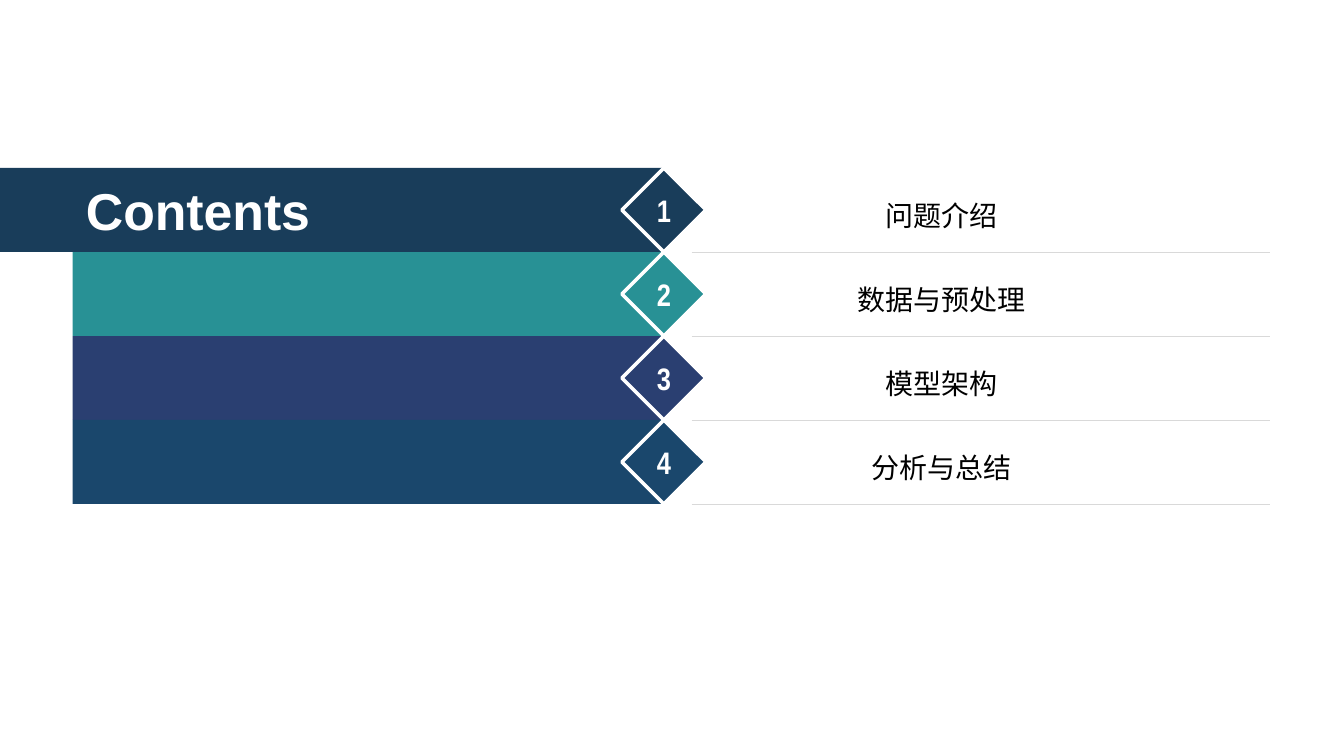
import pptx
import pptx.dml.color
import pptx.enum.shapes
import pptx.enum.text
import pptx.oxml
import pptx.oxml.ns
import pptx.util

Pt = pptx.util.Pt
RGBColor = pptx.dml.color.RGBColor
SHAPE = pptx.enum.shapes.MSO_SHAPE
CENTER = pptx.enum.text.PP_ALIGN.CENTER

# Colours
WHITE = RGBColor(0xFF, 0xFF, 0xFF)
BLACK = RGBColor(0x00, 0x00, 0x00)
RULE_GREY = RGBColor(0xD9, 0xD9, 0xD9)
NAVY = RGBColor(0x19, 0x3D, 0x5A)
TEAL = RGBColor(0x28, 0x91, 0x95)
INDIGO = RGBColor(0x2A, 0x3F, 0x71)
BLUE = RGBColor(0x1A, 0x47, 0x6C)

# Text formats
TITLE_FORMAT = {"name": "Arial", "size": Pt(37), "bold": True}
NUMBER_FORMAT = {"name": "Arial Narrow", "size": Pt(22.2), "bold": True}
ENTRY_FORMAT = {"name": "Arial", "size": Pt(20), "bold": False}

# Rows, in points
ROWS_TOP = 120
ROW_HEIGHT = 60
BAR_RIGHT = 474.25
BAR_LEFT = 52
ENTRY_HEIGHT = 47

SECTIONS = [
    ("问题介绍", NAVY),
    ("数据与预处理", TEAL),
    ("模型架构", INDIGO),
    ("分析与总结", BLUE),
]


def write_text(shape, text, text_format, color, line_spacing=1.0):
    frame = shape.text_frame
    frame.text = text
    frame.vertical_anchor = pptx.enum.text.MSO_ANCHOR.MIDDLE
    frame.auto_size = pptx.enum.text.MSO_AUTO_SIZE.NONE
    frame.word_wrap = True
    paragraph = frame.paragraphs[0]
    paragraph.alignment = CENTER
    paragraph.line_spacing = line_spacing
    font = paragraph.runs[0].font
    font.color.rgb = color
    for attribute, value in text_format.items():
        setattr(font, attribute, value)


def add_block(slide, preset, left, top, width, height, fill):
    block = slide.shapes.add_shape(preset, Pt(left), Pt(top), Pt(width), Pt(height))
    block.shadow.inherit = False
    block.fill.solid()
    block.fill.fore_color.rgb = fill
    block.line.fill.background()
    return block


def add_number(slide, number, top, color):
    diamond = add_block(slide, SHAPE.DIAMOND, BAR_RIGHT - ROW_HEIGHT / 2, top,
                        ROW_HEIGHT, ROW_HEIGHT, color)
    diamond.line.color.rgb = WHITE
    diamond.line.width = Pt(2.5)
    for margin in ("margin_left", "margin_top", "margin_right", "margin_bottom"):
        setattr(diamond.text_frame, margin, 0)
    write_text(diamond, str(number), NUMBER_FORMAT, WHITE)


def add_entry(slide, entry, top):
    entry_top = top + (ROW_HEIGHT - ENTRY_HEIGHT) / 2
    box = add_block(slide, SHAPE.RECTANGLE, 504.75, entry_top, 335.5, ENTRY_HEIGHT, WHITE)
    write_text(box, entry, ENTRY_FORMAT, BLACK, 1.3)


def add_rule(slide, y):
    rule = slide.shapes.add_connector(
        pptx.enum.shapes.MSO_CONNECTOR.STRAIGHT, Pt(494), Pt(y), Pt(907), Pt(y))
    rule.line.color.rgb = RULE_GREY
    rule.line.width = Pt(0.25)
    properties = rule._element.spPr
    properties.append(pptx.oxml.parse_xml(
        "<a:effectLst %s/>" % pptx.oxml.ns.nsdecls("a")))


def place_title(slide, text):
    title = slide.shapes.title
    places = {"left": Pt(51), "top": Pt(ROWS_TOP), "width": Pt(181), "height": Pt(ROW_HEIGHT)}
    for attribute, value in places.items():
        setattr(title, attribute, value)
    write_text(title, text, TITLE_FORMAT, WHITE)
    # Bring the title in front of the first bar
    slide.shapes._spTree.append(title._element)


def main():
    deck = pptx.Presentation()
    deck.slide_width, deck.slide_height = Pt(960), Pt(540)
    slide = deck.slides.add_slide(deck.slide_layouts[5])
    row_tops = [ROWS_TOP + ROW_HEIGHT * row for row in range(len(SECTIONS))]

    # Bars: the first one reaches the slide edge
    for row, (top, (_, color)) in enumerate(zip(row_tops, SECTIONS)):
        left = BAR_LEFT if row else 0
        add_block(slide, SHAPE.RECTANGLE, left, top, BAR_RIGHT - left, ROW_HEIGHT, color)

    # Numbers, entries and rules
    for number, (top, (entry, color)) in enumerate(zip(row_tops, SECTIONS), start=1):
        add_number(slide, number, top, color)
        add_entry(slide, entry, top)
        add_rule(slide, top + ROW_HEIGHT)

    # Title
    place_title(slide, "Contents")
    deck.save("out.pptx")


if __name__ == "__main__":
    main()
